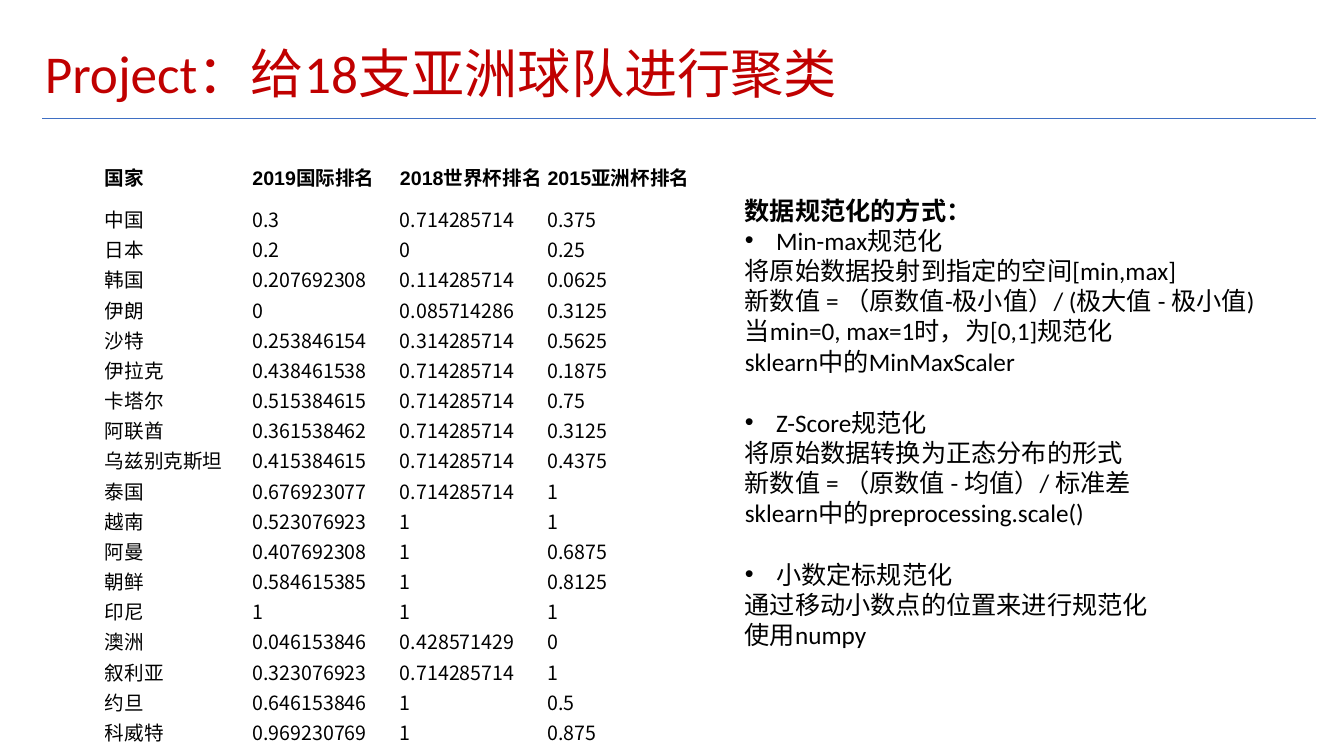
"""Build the slide on clustering 18 Asian football teams."""
from dataclasses import dataclass

import pptx
import pptx.dml.color
import pptx.enum.shapes
import pptx.enum.text
import pptx.oxml
import pptx.oxml.ns
import pptx.util

Cm = pptx.util.Cm
Pt = pptx.util.Pt


@dataclass(frozen=True)
class Theme:
    red: str = "C00000"
    blue: str = "3F6FC3"
    black: str = "000000"
    title: int = 38
    body: int = 18
    cell: int = 14
    gap: int = 22
    main: str = "Calibri"
    head: str = "Arial"
    digit: str = "Noto Sans CJK SC"


THEME = Theme()

HEADS = ["国家", "2019国际排名", "2018世界杯排名", "2015亚洲杯排名"]
TEAMS = [
    ("中国", "0.3", "0.714285714", "0.375"),
    ("日本", "0.2", "0", "0.25"),
    ("韩国", "0.207692308", "0.114285714", "0.0625"),
    ("伊朗", "0", "0.085714286", "0.3125"),
    ("沙特", "0.253846154", "0.314285714", "0.5625"),
    ("伊拉克", "0.438461538", "0.714285714", "0.1875"),
    ("卡塔尔", "0.515384615", "0.714285714", "0.75"),
    ("阿联酋", "0.361538462", "0.714285714", "0.3125"),
    ("乌兹别克斯坦", "0.415384615", "0.714285714", "0.4375"),
    ("泰国", "0.676923077", "0.714285714", "1"),
    ("越南", "0.523076923", "1", "1"),
    ("阿曼", "0.407692308", "1", "0.6875"),
    ("朝鲜", "0.584615385", "1", "0.8125"),
    ("印尼", "1", "1", "1"),
    ("澳洲", "0.046153846", "0.428571429", "0"),
    ("叙利亚", "0.323076923", "0.714285714", "1"),
    ("约旦", "0.646153846", "1", "0.5"),
    ("科威特", "0.969230769", "1", "0.875"),
]
NOTES = [
    ("Min-max规范化", [
        "将原始数据投射到指定的空间[min,max]",
        "新数值 = （原数值-极小值）/ (极大值 - 极小值)",
        "当min=0, max=1时，为[0,1]规范化",
        "sklearn中的MinMaxScaler",
    ]),
    ("Z-Score规范化", [
        "将原始数据转换为正态分布的形式",
        "新数值 = （原数值 - 均值）/ 标准差",
        "sklearn中的preprocessing.scale()",
    ]),
    ("小数定标规范化", [
        "通过移动小数点的位置来进行规范化",
        "使用numpy",
    ]),
]


def color(code):
    """Turn a hex code into a colour."""
    return pptx.dml.color.RGBColor.from_string(code)


def write(para, text, size, face, tint=THEME.black, bold=False):
    """Add one styled run to a paragraph."""
    run = para.add_run()
    run.text = text
    font = run.font
    font.size = Pt(size)
    font.name = face
    font.bold = bold
    font.color.rgb = color(tint)


def add_box(slide, left, top, width, height):
    """Add a wrapping text box and return its frame."""
    box = slide.shapes.add_textbox(Cm(left), Cm(top), Cm(width), Cm(height))
    frame = box.text_frame
    frame.word_wrap = True
    frame.margin_left = frame.margin_right = Cm(0.13)
    frame.margin_top = frame.margin_bottom = Cm(0.13)
    return frame


def add_title(slide):
    """Add the red heading."""
    frame = add_box(slide, 1, 1.02, 28.27, 1.8)
    frame.vertical_anchor = pptx.enum.text.MSO_ANCHOR.MIDDLE
    para = frame.paragraphs[0]
    para.line_spacing = 0.9
    write(para, "Project：给18支亚洲球队进行聚类", THEME.title, THEME.main, THEME.red)


def add_rule(slide):
    """Add the thin line below the heading."""
    kind = pptx.enum.shapes.MSO_CONNECTOR.STRAIGHT
    rule = slide.shapes.add_connector(kind, Cm(1.07), Cm(2.98), Cm(33.17), Cm(2.98))
    rule.line.color.rgb = color(THEME.blue)
    rule.line.width = Pt(0.75)
    props = rule.element.find(pptx.oxml.ns.qn("p:spPr"))
    props.append(pptx.oxml.parse_xml(f"<a:effectLst {pptx.oxml.ns.nsdecls('a')}/>"))


def set_bullet(para):
    """Give a paragraph a hanging round bullet."""
    props = para._p.get_or_add_pPr()
    props.set("marL", str(Cm(0.79)))
    props.set("indent", str(-Cm(0.79)))
    space = pptx.oxml.ns.nsdecls("a")
    props.append(pptx.oxml.parse_xml(f'<a:buFont {space} typeface="Arial"/>'))
    props.append(pptx.oxml.parse_xml(f'<a:buChar {space} char="•"/>'))


def add_notes(slide):
    """Add the three ways of scaling the data."""
    frame = add_box(slide, 18.64, 4.78, 13.87, 11.79)
    write(frame.paragraphs[0], "数据规范化的方式：", THEME.body, THEME.main, bold=True)
    for rank, (name, lines) in enumerate(NOTES):
        para = frame.add_paragraph()
        if rank:
            para.space_before = Pt(THEME.gap)
        set_bullet(para)
        write(para, name, THEME.body, THEME.main)
        for line in lines:
            write(frame.add_paragraph(), line, THEME.body, THEME.main)


def fill_cell(cell, text, face, bold):
    """Write one clear table cell."""
    cell.fill.background()
    cell.vertical_anchor = pptx.enum.text.MSO_ANCHOR.MIDDLE
    cell.margin_left = cell.margin_right = cell.margin_top = Cm(0.02)
    cell.margin_bottom = 0
    write(cell.text_frame.paragraphs[0], text, THEME.cell, face, bold=bold)


def add_ranks(slide):
    """Add the table of scaled team ranks."""
    rows = [HEADS, *TEAMS]
    frame = slide.shapes.add_table(
        len(rows), len(HEADS), Cm(2.62), Cm(3.78), Cm(14.88), Cm(15.03))
    table = frame.table
    table.first_row = table.horz_banding = False
    for col in table.columns:
        col.width = Cm(3.72)
    for i, row in enumerate(rows):
        table.rows[i].height = Cm(0.76 if i else 1.35)
        for j, text in enumerate(row):
            face = THEME.digit if i and j else THEME.head
            fill_cell(table.cell(i, j), text, face, i == 0)


def main():
    """Build and save the slide."""
    deck = pptx.Presentation()
    deck.slide_width = Cm(33.87)
    deck.slide_height = Cm(19.05)
    slide = deck.slides.add_slide(deck.slide_layouts[6])
    add_rule(slide)
    add_title(slide)
    add_notes(slide)
    add_ranks(slide)
    deck.save("out.pptx")


if __name__ == "__main__":
    main()
